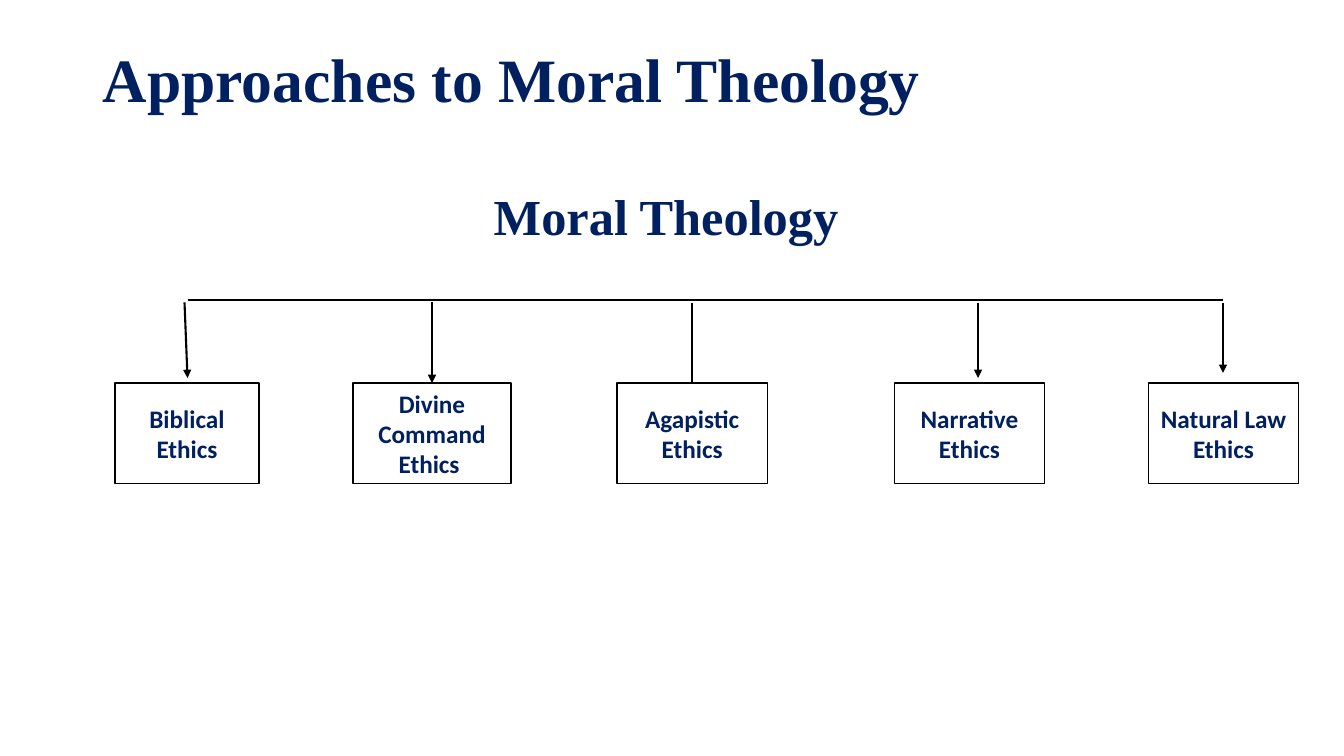
from lxml import etree
from pptx import Presentation
from pptx import util as u
from pptx.dml.color import RGBColor
from pptx.enum import shapes, text
from pptx.oxml import ns

COLORS = {"navy": "002060", "black": "000000", "white": "FFFFFF"}
COLUMNS, ROWS = 133.3, 75
CELL = u.Inches(0.1)


def cells(*counts):
    return [round(count * CELL) for count in counts]


def write(box, words, size, font="Times New Roman", align="LEFT", anchor="TOP",
          spacing=1.0, top_inset=0.5):
    frame = box.text_frame
    frame.word_wrap = True
    frame.vertical_anchor = getattr(text.MSO_ANCHOR, anchor)
    frame.margin_top = cells(top_inset)[0]
    para = frame.paragraphs[0]
    para.alignment = getattr(text.PP_ALIGN, align)
    para.line_spacing = spacing
    span = para.add_run()
    span.text = words
    span.font.name = font
    span.font.size = u.Pt(size)
    span.font.bold = True
    span.font.color.rgb = RGBColor.from_string(COLORS["navy"])


deck = Presentation()
deck.slide_width, deck.slide_height = cells(COLUMNS, ROWS)
page = deck.slides.add_slide(deck.slide_layouts[6])

title = page.shapes.add_textbox(*cells(9.2, 4, 115, 14.5))
write(title, "Approaches to Moral Theology", 44, spacing=0.9, top_inset=0.9)

root = page.shapes.add_textbox(*cells(42.9, 17.9, 47.6, 7.1))
write(root, "Moral Theology ", 36, align="CENTER")

box_top, box_height = 38, 10
approaches = [
    ("Biblical Ethics", 11.4, 14.3),
    ("Divine Command Ethics ", 35, 15.7),
    ("Agapistic Ethics", 61.2, 14.9),
    ("Narrative Ethics", 88.7, 14.9),
    ("Natural Law Ethics", 113.9, 14.9),
]
boxes = []
for name, left, width in approaches:
    box = page.shapes.add_shape(shapes.MSO_SHAPE.RECTANGLE,
                                *cells(left, box_top, width, box_height))
    box.shadow.inherit = False
    box.fill.solid()
    box.fill.fore_color.rgb = RGBColor.from_string(COLORS["white"])
    box.line.color.rgb = RGBColor.from_string(COLORS["black"])
    box.line.width = u.Pt(1)
    write(box, name, 18, font="Calibri", align="CENTER", anchor="MIDDLE")
    boxes.append(box)

biblical, divine, agapistic, narrative, natural = boxes
branches = [
    ((18.6, 29.8, 121.3, 29.8), False, None),
    ((18.3, 30, 18.6, 37.5), True, None),
    ((121.3, 30.1, 121.3, 37), True, None),
    ((42.85, 30, 42.85, box_top), True, divine),
    ((68.65, 30.1, 68.65, box_top), False, agapistic),
    ((97, 30.1, 97, 37.5), True, None),
]
for ends, arrow, target in branches:
    branch = page.shapes.add_connector(shapes.MSO_CONNECTOR.STRAIGHT, *cells(*ends))
    if target is not None:
        branch.end_connect(target, 0)
    branch.line.color.rgb = RGBColor.from_string(COLORS["black"])
    branch.line.width = u.Pt(1.5)
    if arrow:
        etree.SubElement(branch.line._get_or_add_ln(), ns.qn("a:tailEnd"), type="triangle")
    etree.SubElement(branch._element.spPr, ns.qn("a:effectLst"))

deck.save("out.pptx")
